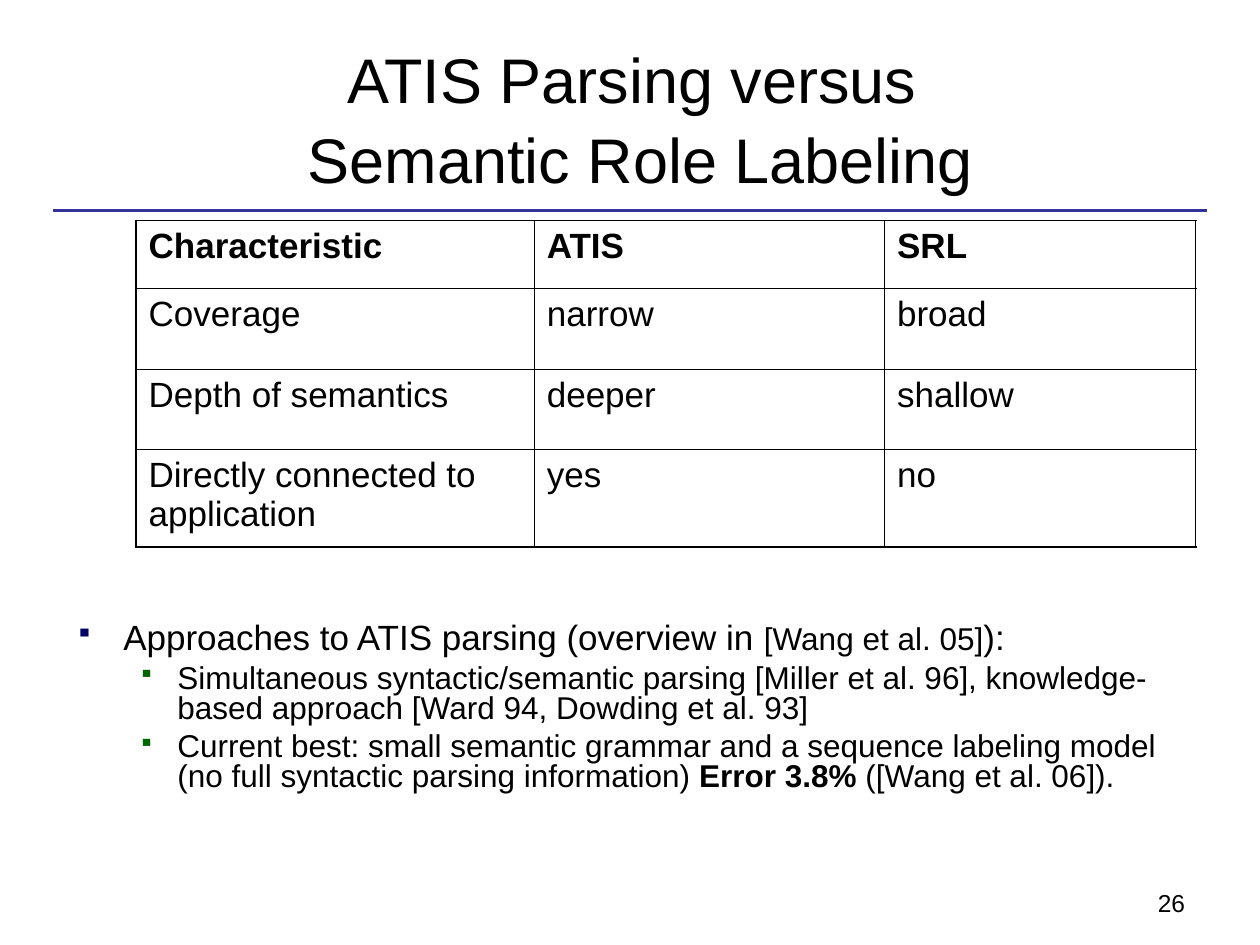
from lxml.etree import SubElement
from pptx import Presentation
from pptx.dml.color import RGBColor
from pptx.enum.shapes import MSO_CONNECTOR as Connector
from pptx.enum.text import MSO_ANCHOR as Anchor, PP_ALIGN as Align
from pptx.oxml.ns import qn
from pptx.util import Inches, Pt

COLORS = {"text": "000000", "rule": "333399", "bullet": "000066",
          "sub_bullet": "006600", "background": "FFFFFF"}


def write_run(paragraph, text, size=20, bold=False, font="Arial", color="text"):
    run = paragraph.add_run()
    run.text = text
    run.font.size = Pt(size)
    run.font.bold = bold
    run.font.name = font
    run.font.color.rgb = RGBColor.from_string(COLORS[color])


def add_solid_fill(parent, color):
    fill = SubElement(parent, qn("a:solidFill"))
    SubElement(fill, qn("a:srgbClr"), val=COLORS[color])


class SlideBuilder:
    outer_border = 1.08
    inner_border = 0.45

    def __init__(self, presentation):
        self.slide = presentation.slides.add_slide(presentation.slide_layouts[6])

    def text_box(self, left, top, width, height, anchor=Anchor.TOP):
        shape = self.slide.shapes.add_textbox(
            Inches(left), Inches(top), Inches(width), Inches(height))
        shape.text_frame.word_wrap = True
        shape.text_frame.vertical_anchor = anchor
        return shape.text_frame

    def title(self, lines, left, top, width, height):
        paragraph = self.text_box(left, top, width, height, Anchor.MIDDLE).paragraphs[0]
        paragraph.alignment = Align.CENTER
        paragraph.line_spacing = 1.05
        for index, line in enumerate(lines):
            if index:
                paragraph.add_line_break()
            write_run(paragraph, line, size=36)

    def rule(self, left, right, y):
        line = self.slide.shapes.add_connector(
            Connector.STRAIGHT, Inches(left), Inches(y), Inches(right), Inches(y))
        line.line.color.rgb = RGBColor.from_string(COLORS["rule"])
        line.line.width = Pt(1.75)
        SubElement(line._element.spPr, qn("a:effectLst"))

    def page_number(self, number, left, top, width, height):
        frame = self.text_box(left, top, width, height)
        write_run(frame.paragraphs[0], number, size=14)

    def bullets(self, items, left, top, width, height):
        frame = self.text_box(left, top, width, height)
        for index, (level, runs) in enumerate(items):
            paragraph = frame.paragraphs[0] if index == 0 else frame.add_paragraph()
            margin, hanging, color = [(0.38, 0.38, "bullet"),
                                      (0.81, 0.31, "sub_bullet")][level]
            properties = paragraph._p.get_or_add_pPr()
            properties.set("marL", str(Inches(margin)))
            properties.set("indent", str(-Inches(hanging)))
            bullet_color = SubElement(properties, qn("a:buClr"))
            SubElement(bullet_color, qn("a:srgbClr"), val=COLORS[color])
            SubElement(properties, qn("a:buSzPct"), val="70000")
            SubElement(properties, qn("a:buChar"), char="▪")
            paragraph.level = level
            paragraph.line_spacing = 0.8
            if index:
                paragraph.space_before = Pt(4.5)
            for text, style in runs:
                write_run(paragraph, text, **style)

    def border(self, cell, side, width):
        line = SubElement(cell._tc.get_or_add_tcPr(), qn(f"a:ln{side}"),
                          w=str(Pt(width)))
        add_solid_fill(line, "text")

    def table(self, rows, left, top, widths, heights):
        table = self.slide.shapes.add_table(
            len(rows), len(widths), Inches(left), Inches(top),
            Inches(sum(widths)), Inches(sum(heights))).table
        table.first_row = table.horz_banding = False
        for column, width in zip(table.columns, widths):
            column.width = Inches(width)
        last_row, last_column = len(rows) - 1, len(widths) - 1
        for row_index, (texts, height) in enumerate(zip(rows, heights)):
            table.rows[row_index].height = Inches(height)
            for column_index, text in enumerate(texts):
                cell = table.cell(row_index, column_index)
                write_run(cell.text_frame.paragraphs[0], text, bold=row_index == 0)
                edges = {"L": column_index == 0, "R": column_index == last_column,
                         "T": row_index == 0, "B": row_index == last_row}
                for side, is_outer in edges.items():
                    self.border(cell, side,
                                self.outer_border if is_outer else self.inner_border)
                cell.fill.solid()
                cell.fill.fore_color.rgb = RGBColor.from_string(COLORS["background"])


def main():
    presentation = Presentation()
    presentation.slide_width = Inches(10)
    presentation.slide_height = Inches(7.5)

    builder = SlideBuilder(presentation)
    builder.rule(0.42, 9.58, 1.67)
    builder.page_number("26", 9.09, 7, 0.91, 0.34)
    builder.title(["ATIS Parsing versus ", "Semantic Role Labeling"],
                  0.5, 0.3, 9.17, 1.25)

    small = {"size": 18}
    builder.bullets([
        (0, [("Approaches to ATIS parsing (overview in ", {}),
             ("[Wang et al. 05]", small), ("):", {})]),
        (1, [("Simultaneous syntactic/semantic parsing [Miller et al. 96], "
              "knowledge-based approach [Ward 94, Dowding et al. 93]", small)]),
        (1, [("Current best: small semantic grammar and a sequence labeling model "
              "(no full syntactic parsing information) ", small),
             ("Error 3.8%", {"size": 18, "bold": True}),
             (" ([Wang et al. 06]).", small)]),
    ], 0.5, 4.9, 9.08, 1.8)

    builder.table([
        ["Characteristic", "ATIS", "SRL"],
        ["Coverage", "narrow", "broad"],
        ["Depth of semantics", "deeper", "shallow"],
        ["Directly connected to application", "yes", "no"],
    ], 1.08, 1.75, [3.16, 2.78, 2.47], [0.54, 0.64, 0.64, 0.77])

    presentation.save("out.pptx")


if __name__ == "__main__":
    main()
